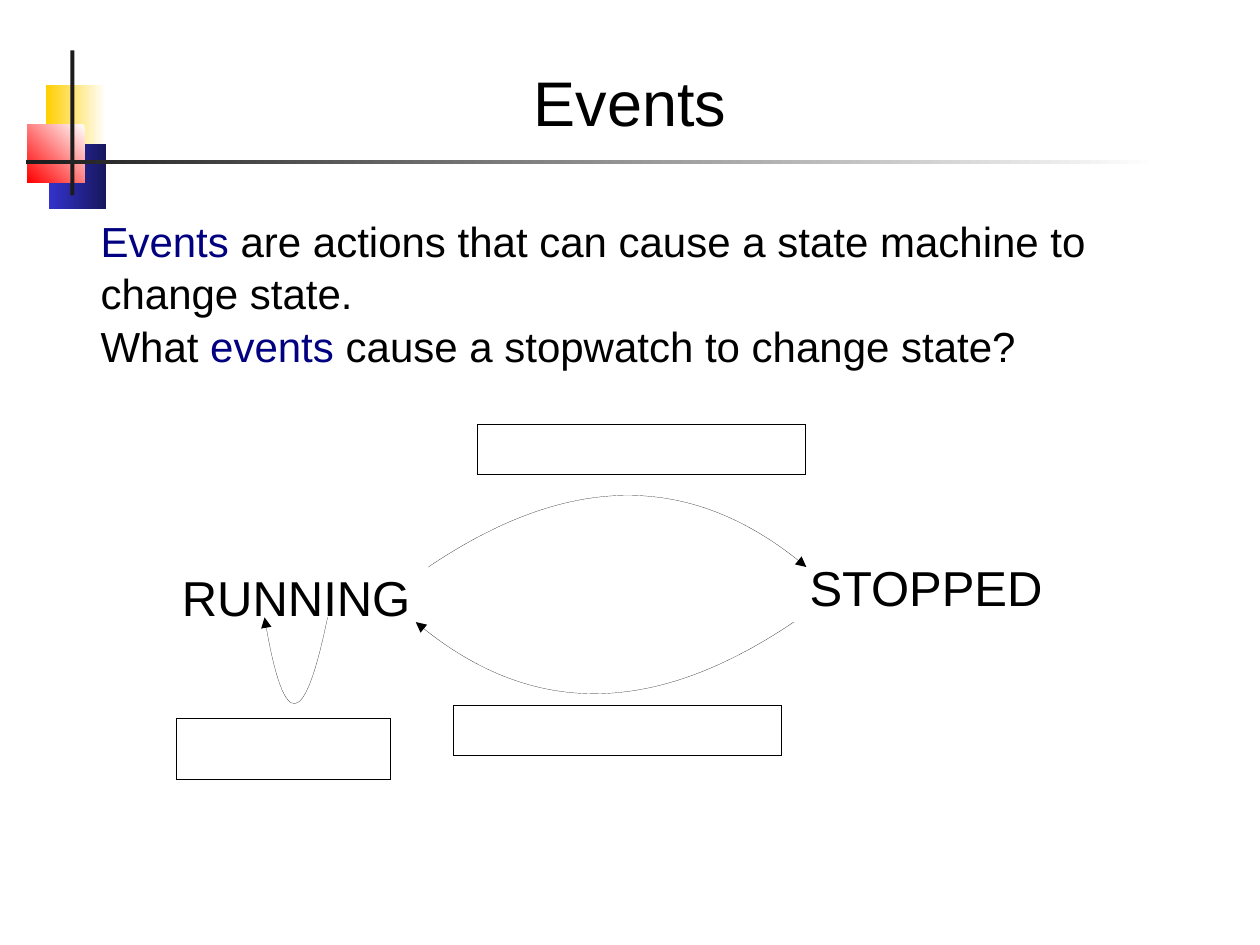
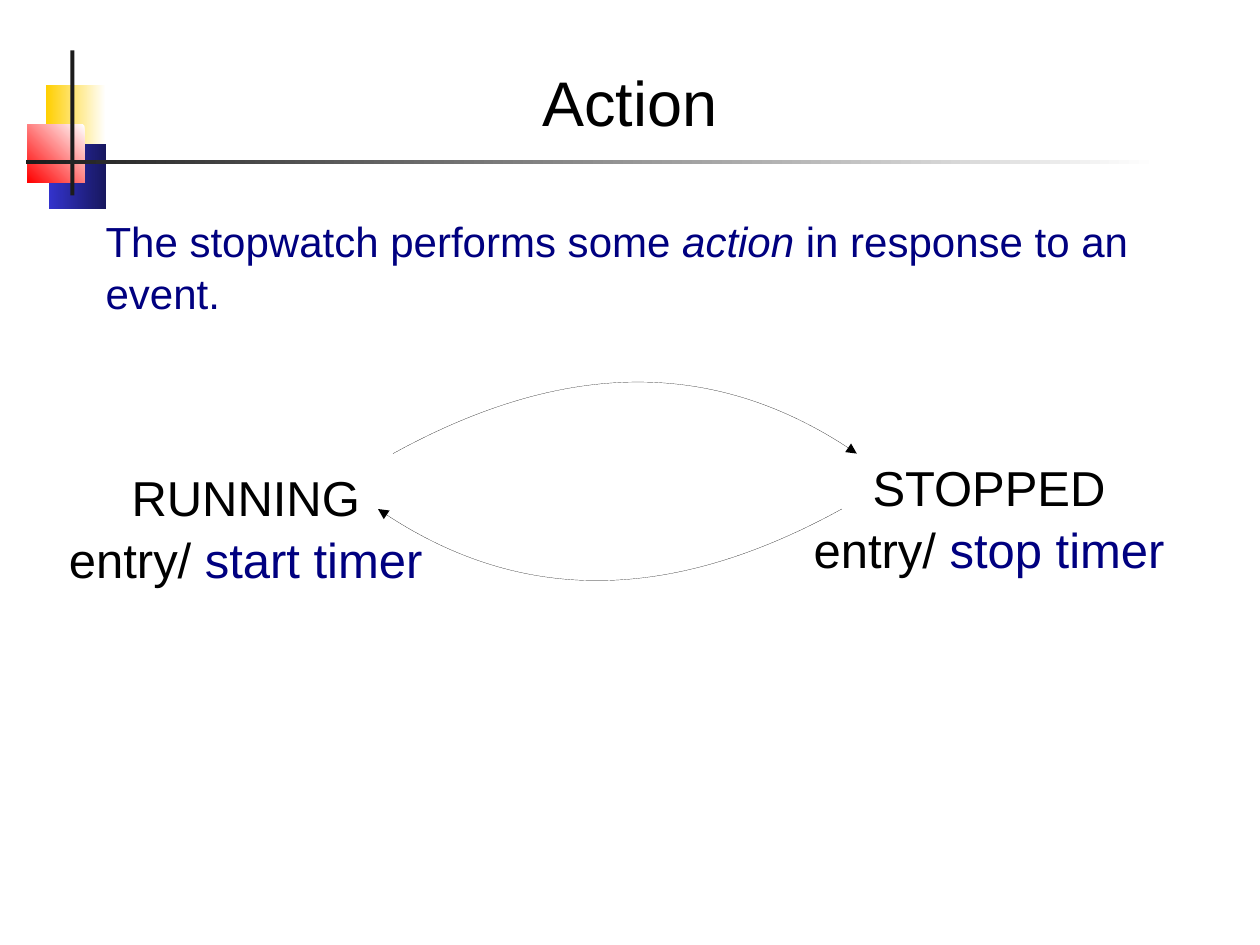
from dataclasses import dataclass

import pptx
import pptx.dml.color
import pptx.enum.shapes
import pptx.enum.text
import pptx.oxml
import pptx.oxml.ns
import pptx.util

Pt = pptx.util.Pt
ALIGN = pptx.enum.text.PP_ALIGN
ANCHOR = pptx.enum.text.MSO_ANCHOR

FONT = "Arial"
BLACK, NAVY, DARK, WHITE = "000000", "000080", "1C1C1C", "FFFFFF"
CONTROL_SHARE = 5 / 9  # where along its chord an arc's control point sits


@dataclass(frozen=True)
class Box:
    x: float
    y: float
    w: float
    h: float


@dataclass(frozen=True)
class Run:
    text: str
    color: str = BLACK
    italic: bool = False


@dataclass(frozen=True)
class Band:
    box: Box
    start: str
    end: str
    angle: float = 180  # counter-clockwise


@dataclass(frozen=True)
class Arc:
    x1: float
    x2: float
    y: float
    drop: float  # negative bends upwards


@dataclass(frozen=True)
class State:
    box: Box
    lines: list[list[Run]]


@dataclass(frozen=True)
class Page:
    title: str
    body_x: float
    body: list[list[Run]]
    states: list[State]
    arcs: list[Arc]
    blanks: list[Box]


# Corner motif and title rule, from back to front
BANDS = [
    Band(Box(26.6, 48.5, 33.8, 37.4), WHITE, "FFCF01"),
    Band(Box(28.1, 82, 32.4, 37.4), "17175E", "3333CC"),
    Band(Box(15.8, 71.3, 32.4, 33.1), WHITE, "FF0000", 225),
    Band(Box(40.3, 28.8, 2.2, 82.8), DARK, DARK),
    Band(Box(15.1, 91.4, 647.3, 2.2), WHITE, DARK),
]

PAGES = [
    Page(
        "Events", 50.4,
        [[Run("Events", NAVY),
          Run(" are actions that can cause a state machine to change state.")],
         [Run("What "), Run("events", NAVY),
          Run(" cause a stopwatch to change state?")]],
        [State(Box(86.4, 294.5, 165.6, 110.9), [[Run("RUNNING")]]),
         State(Box(446.4, 288.7, 165.6, 110.9), [[Run("STOPPED")]])],
        [Arc(187.2, 151.2, 352.8, 97.2),
         Arc(244.8, 460.8, 324, -81),
         Arc(453.6, 237.6, 355.5, 81)],
        [Box(272.9, 242.6, 187.2, 28.8),
         Box(259.2, 403.2, 187.2, 28.8),
         Box(100.8, 410.4, 122.4, 35.3)],
    ),
    Page(
        "Action", 53.3,
        [[Run("The stopwatch performs some ", NAVY),
          Run("action", NAVY, True),
          Run(" in response to an event.", NAVY)]],
        [State(Box(28.8, 237.6, 223.2, 144),
               [[Run("RUNNING")], [Run("entry/ "), Run("start timer", NAVY)]]),
         State(Box(446.4, 231.8, 237.6, 144),
               [[Run("STOPPED")], [Run("entry/ "), Run("stop timer", NAVY)]])],
        [Arc(224.6, 489.6, 259.2, -81),
         Arc(481, 216, 290.9, 81)],
        [],
    ),
]


def rgb(hex_color: str) -> pptx.dml.color.RGBColor:
    return pptx.dml.color.RGBColor.from_string(hex_color)


def drop_style(sp) -> None:
    """Remove theme effects, so only explicit formatting applies."""
    sp.shadow.inherit = False
    sp._element.remove(sp._element.find(pptx.oxml.ns.qn("p:style")))


def add_rect(s, box: Box):
    sp = s.shapes.add_shape(pptx.enum.shapes.MSO_SHAPE.RECTANGLE,
                            Pt(box.x), Pt(box.y), Pt(box.w), Pt(box.h))
    drop_style(sp)
    return sp


def add_band(s, band: Band) -> None:
    sp = add_rect(s, band.box)
    sp.line.fill.background()
    if band.start == band.end:
        sp.fill.solid()
        sp.fill.fore_color.rgb = rgb(band.start)
        return
    sp.fill.gradient()
    sp.fill.gradient_angle = band.angle
    for stop, color, position in zip(sp.fill.gradient_stops,
                                     (band.start, band.end), (0, 1)):
        stop.color.rgb = rgb(color)
        stop.position = position


def add_text(s, box: Box, lines: list[list[Run]], *, size: float,
             align=ALIGN.LEFT, anchor=ANCHOR.TOP, side: float = 7.2,
             top: float = 3.6, bottom: float = 3.6) -> None:
    tf = s.shapes.add_textbox(Pt(box.x), Pt(box.y), Pt(box.w), Pt(box.h)).text_frame
    tf.word_wrap = True
    tf.vertical_anchor = anchor
    tf.margin_left = tf.margin_right = Pt(side)
    tf.margin_top, tf.margin_bottom = Pt(top), Pt(bottom)
    for i, runs in enumerate(lines):
        p = tf.add_paragraph() if i else tf.paragraphs[0]
        p.alignment = align
        p.line_spacing = 1.05
        for run in runs:
            r = p.add_run()
            r.text = run.text
            r.font.name, r.font.size = FONT, Pt(size)
            r.font.italic = run.italic
            r.font.color.rgb = rgb(run.color)


def outline(sp) -> None:
    """Unfilled shape with a default-width black line."""
    sp.fill.background()
    sp.line.color.rgb = rgb(BLACK)


def add_arc(s, arc: Arc) -> None:
    """Curved arrow from x1 to x2 with one control point."""
    control_x = arc.x1 + (arc.x2 - arc.x1) * CONTROL_SHARE
    builder = s.shapes.build_freeform(Pt(arc.x1), Pt(arc.y), scale=1.0)
    builder.add_line_segments([(Pt(control_x), Pt(arc.y + arc.drop)),
                               (Pt(arc.x2), Pt(arc.y))], close=False)
    sp = builder.convert_to_shape()
    drop_style(sp)
    outline(sp)
    # Merge the two segments into one quadratic curve
    qn = pptx.oxml.ns.qn
    segments = list(sp._element.iter(qn("a:lnTo")))
    outline_path = segments[0].getparent()
    curve = outline_path.makeelement(qn("a:quadBezTo"), {})
    outline_path.append(curve)
    for segment in segments:
        curve.append(segment[0])
        outline_path.remove(segment)
    ln = sp.line._get_or_add_ln()
    ln.append(ln.makeelement(qn("a:tailEnd"), {"type": "triangle"}))


def add_page(prs, page: Page) -> None:
    s = prs.slides.add_slide(prs.slide_layouts[6])
    for band in BANDS:
        add_band(s, band)
    # Title and body
    add_text(s, Box(48.2, 20.2, 623.5, 67.7), [[Run(page.title)]], size=36,
             align=ALIGN.CENTER, anchor=ANCHOR.MIDDLE, top=8.6)
    add_text(s, Box(page.body_x, 116.6, 623.5, 99.4), page.body, size=24, top=4.9)
    # State diagram
    for state in page.states:
        add_text(s, state.box, state.lines, size=28, align=ALIGN.CENTER,
                 side=8.6, top=28, bottom=5)
    for blank in page.blanks:
        outline(add_rect(s, blank))
    for arc in page.arcs:
        add_arc(s, arc)


def main() -> None:
    prs = pptx.Presentation()
    prs.slide_width, prs.slide_height = Pt(720), Pt(540)
    for page in PAGES:
        add_page(prs, page)
    prs.save("out.pptx")


if __name__ == "__main__":
    main()
